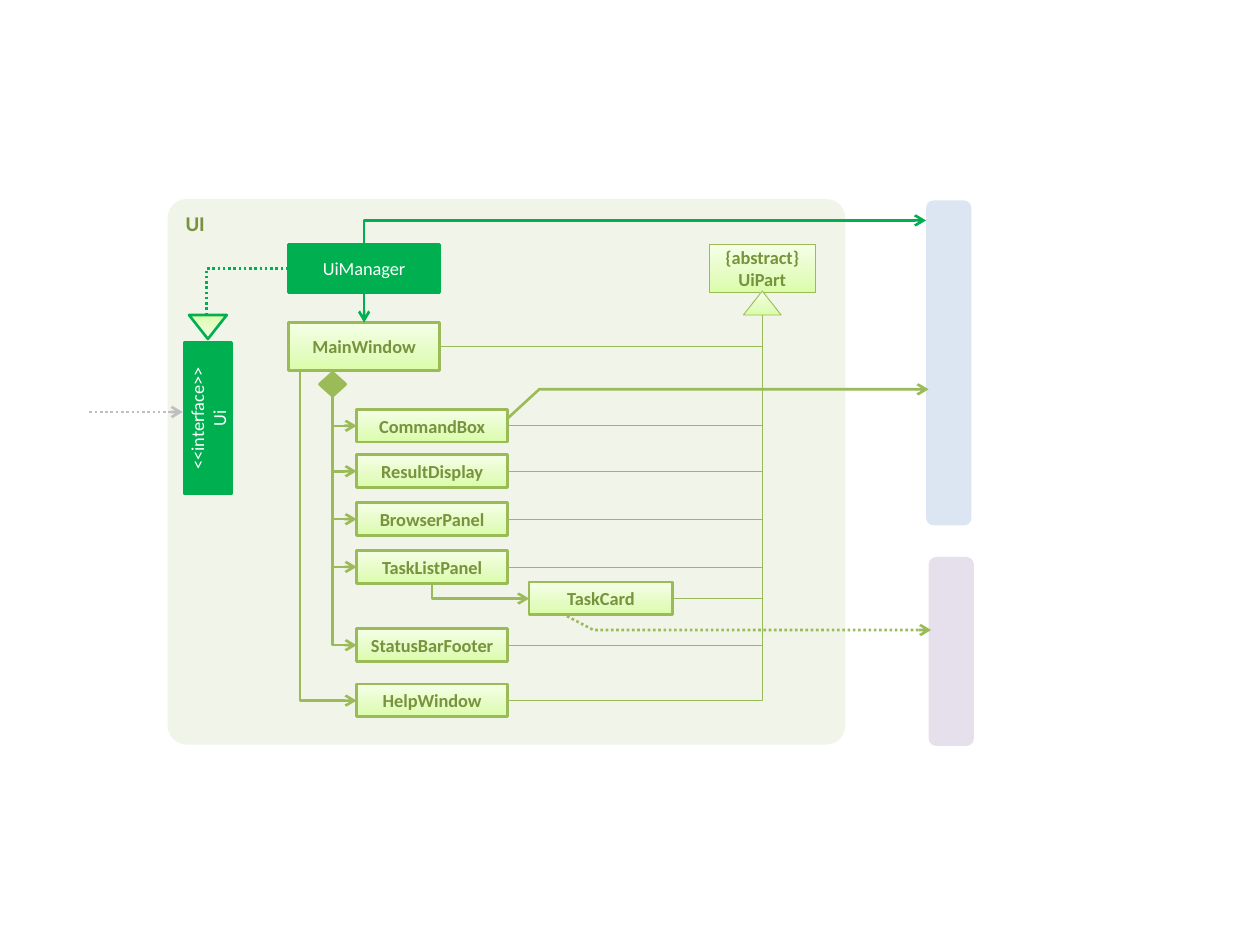
from copy import deepcopy

from lxml import etree
from pptx import Presentation
from pptx.dml.color import RGBColor
from pptx.enum import dml, shapes, text
from pptx.oxml.ns import qn
from pptx.util import Inches, Pt

GREEN = RGBColor(0x00, 0xB0, 0x50)
OLIVE = RGBColor(0x9B, 0xBB, 0x59)
DARK_OLIVE = RGBColor(0x77, 0x93, 0x3C)
PANEL = RGBColor(0xF1, 0xF5, 0xE9)
MASK = RGBColor(0xEB, 0xF1, 0xDE)
BLUE = RGBColor(0xDC, 0xE6, 0xF2)
PURPLE = RGBColor(0xE6, 0xE0, 0xEC)
GRAY = RGBColor(0xBF, 0xBF, 0xBF)
WHITE = RGBColor(0xFF, 0xFF, 0xFF)
GRADIENT = [(0, RGBColor(0xDA, 0xFD, 0xA7)),
            (0.35, RGBColor(0xE4, 0xFC, 0xC2)),
            (1, RGBColor(0xF5, 0xFF, 0xE7))]

KIND = shapes.MSO_SHAPE
COL, BOX_W, BOX_H, TALL_H = 2.83, 1.2, 0.26, 0.38
TRUNK_X, DIAMOND_Y = 2.64, 3.14       # composition line
PARENT_X, PARENT_Y = 6.05, 2.5        # inheritance line
PARTS = {"CommandBox": 3.25, "ResultDisplay": 3.61, "BrowserPanel": 3.99,
         "TaskListPanel": 4.37, "StatusBarFooter": 4.99, "HelpWindow": 5.43}


def fill_gradient(sp):
    fill = sp.fill
    fill.gradient()
    fill.gradient_angle = 90
    first = sp._element.spPr.find(".//" + qn("a:gs"))
    first.addnext(deepcopy(first))
    for stop, (position, color) in zip(fill.gradient_stops, GRADIENT):
        stop.position = position
        stop.color.rgb = color


def style_line(sp, color, width, dotted=False, arrow=False):
    line = sp.line
    line.color.rgb = color
    line.width = Pt(width)
    if dotted:
        line.dash_style = dml.MSO_LINE.ROUND_DOT
    if arrow:
        ln = sp._element.spPr.find(qn("a:ln"))
        etree.SubElement(ln, qn("a:tailEnd"), type="arrow")


def add_box(slide, kind, at, fill=None, line=None, width=1.5, rotation=0):
    """Add a shape; without a fill colour it takes the green gradient."""
    sp = slide.shapes.add_shape(kind, *map(Inches, at))
    sp.shadow.inherit = False
    sp.rotation = rotation
    if fill is None:
        fill_gradient(sp)
    else:
        sp.fill.solid()
        sp.fill.fore_color.rgb = fill
    if line is None:
        sp.line.fill.background()
    else:
        style_line(sp, line, width)
    return sp


def set_label(sp, label, color=DARK_OLIVE, size=10.5, bold=True, centred=True):
    tf = sp.text_frame
    tf.text = label
    tf.word_wrap = True
    tf.vertical_anchor = text.MSO_ANCHOR.MIDDLE if centred else text.MSO_ANCHOR.TOP
    if centred:
        tf.margin_left = tf.margin_right = tf.margin_top = tf.margin_bottom = 0
    for p in tf.paragraphs:
        p.alignment = text.PP_ALIGN.CENTER if centred else text.PP_ALIGN.LEFT
        for r in p.runs:
            r.font.name = "Calibri"
            r.font.size = Pt(size)
            r.font.bold = bold
            r.font.color.rgb = color


def add_class(slide, label, at, width=1.5):
    set_label(add_box(slide, KIND.RECTANGLE, at, line=OLIVE, width=width), label)


def finish_connector(c, color, width, dotted, arrow):
    style_line(c, color, width, dotted, arrow)
    etree.SubElement(c._element.spPr, qn("a:effectLst"))


def add_straight(slide, start, end, color, width=1.5, dotted=False, arrow=True):
    c = slide.shapes.add_connector(shapes.MSO_CONNECTOR.STRAIGHT,
                                   *map(Inches, start + end))
    finish_connector(c, color, width, dotted, arrow)


def add_elbow(slide, start, end, color=OLIVE, width=1.5, dotted=False,
              arrow=True, vertical_first=True):
    """Join two points with one right-angled corner."""
    dx, dy = end[0] - start[0], end[1] - start[1]
    w, h = abs(dx), abs(dy)
    flip_h, flip_v = dx < 0, dy < 0
    if vertical_first:                 # quarter turn about the centre
        w, h = h, w
        flip_h, flip_v = dy < 0, dx > 0
    left = (start[0] + end[0] - w) / 2
    top = (start[1] + end[1] - h) / 2
    c = slide.shapes.add_connector(shapes.MSO_CONNECTOR.ELBOW,
                                   *map(Inches, (left, top, left + w, top + h)))
    spPr = c._element.spPr
    spPr.find(qn("a:prstGeom")).set("prst", "bentConnector2")
    xfrm = spPr.find(qn("a:xfrm"))
    if vertical_first:
        xfrm.set("rot", "5400000")
    for name, flipped in (("flipH", flip_h), ("flipV", flip_v)):
        if flipped:
            xfrm.set(name, "1")
    finish_connector(c, color, width, dotted, arrow)


def add_route(slide, points, dotted=False):
    """Draw an open arrow over a soft gap in the inheritance line."""
    mask = add_box(slide, KIND.RECTANGLE,
                   (PARENT_X - 0.11, points[-1][1] - 0.09, 0.25, 0.18), MASK)
    spPr = mask._element.spPr
    etree.SubElement(spPr.find(".//" + qn("a:srgbClr")), qn("a:alpha"), val="80000")
    etree.SubElement(spPr.find(qn("a:effectLst")), qn("a:softEdge"), rad="63500")
    (x, y), *rest = [tuple(map(Inches, point)) for point in points]
    builder = slide.shapes.build_freeform(x, y)
    builder.add_line_segments(rest, close=False)
    sp = builder.convert_to_shape()
    sp.shadow.inherit = False
    sp.fill.background()
    style_line(sp, OLIVE, 1.5, dotted, arrow=True)


def add_components(slide):
    panel = add_box(slide, KIND.ROUNDED_RECTANGLE, (1.33, 1.58, 5.38, 4.33), PANEL)
    panel.adjustments[0] = 0.035
    set_label(panel, "UI", size=12, centred=False)
    for at, color in (((6.24, 2.7, 2.58, 0.36), BLUE),
                      ((6.8, 4.99, 1.5, 0.36), PURPLE)):
        add_box(slide, KIND.ROUNDED_RECTANGLE, at, color, rotation=270)


def add_classes(slide):
    for label, at, rotation in (
            ("UiManager", (2.29, 1.94, BOX_W, TALL_H), 0),
            ("<<interface>>\nUi", (1.05, 3.13, BOX_W, TALL_H), 270)):
        sp = add_box(slide, KIND.RECTANGLE, at, GREEN, GREEN, rotation=rotation)
        set_label(sp, label, WHITE, bold=False)
    add_class(slide, "MainWindow", (2.29, 2.56, BOX_W, TALL_H))
    add_class(slide, "{abstract}\vUiPart", (5.63, 1.94, 0.84, TALL_H), 0.5)
    add_class(slide, "TaskCard", (4.2, 4.62, 1.14, BOX_H))
    for label, top in PARTS.items():
        add_class(slide, label, (COL, top, BOX_W, BOX_H))
    add_box(slide, KIND.FLOWCHART_DECISION, (2.54, 2.96, 0.2, 0.18), OLIVE, OLIVE, 2)
    add_box(slide, KIND.ISOSCELES_TRIANGLE, (5.9, 2.31, 0.3, 0.19), line=OLIVE, width=0.5)
    add_box(slide, KIND.ISOSCELES_TRIANGLE, (1.5, 2.5, 0.3, 0.19), line=GREEN, rotation=180)


def add_relations(slide):
    # Composition: MainWindow to its parts
    for label, top in PARTS.items():
        start = (2.38, 2.94) if label == "HelpWindow" else (TRUNK_X, DIAMOND_Y)
        add_elbow(slide, start, (COL, top + BOX_H / 2))
    add_elbow(slide, (3.43, 4.63), (4.2, 4.75))
    # Inheritance: every part to UiPart
    children = [(COL + BOX_W, top + BOX_H / 2) for top in PARTS.values()]
    for child in children + [(3.49, 2.75), (5.34, 4.75)]:
        add_elbow(slide, (PARENT_X, PARENT_Y), child, width=0.5, arrow=False)
    # UiManager and its interface
    add_straight(slide, (2.89, 2.32), (2.89, 2.56), GREEN)
    add_straight(slide, (0.71, 3.27), (1.45, 3.27), GRAY, dotted=True)
    add_elbow(slide, (2.89, 1.94), (7.35, 1.75), GREEN)
    add_elbow(slide, (2.29, 2.13), (1.64, 2.5), GREEN, dotted=True,
              arrow=False, vertical_first=False)
    # Calls to the neighbouring components
    add_route(slide, [(4.03, 3.32), (4.28, 3.09), (7.37, 3.09)])
    add_route(slide, [(4.5, 4.89), (4.71, 5), (7.39, 5)], dotted=True)


def main():
    prs = Presentation()
    prs.slide_width, prs.slide_height = Inches(10), Inches(7.5)
    slide = prs.slides.add_slide(prs.slide_layouts[6])
    add_components(slide)
    add_classes(slide)
    add_relations(slide)
    prs.save("out.pptx")


main()
